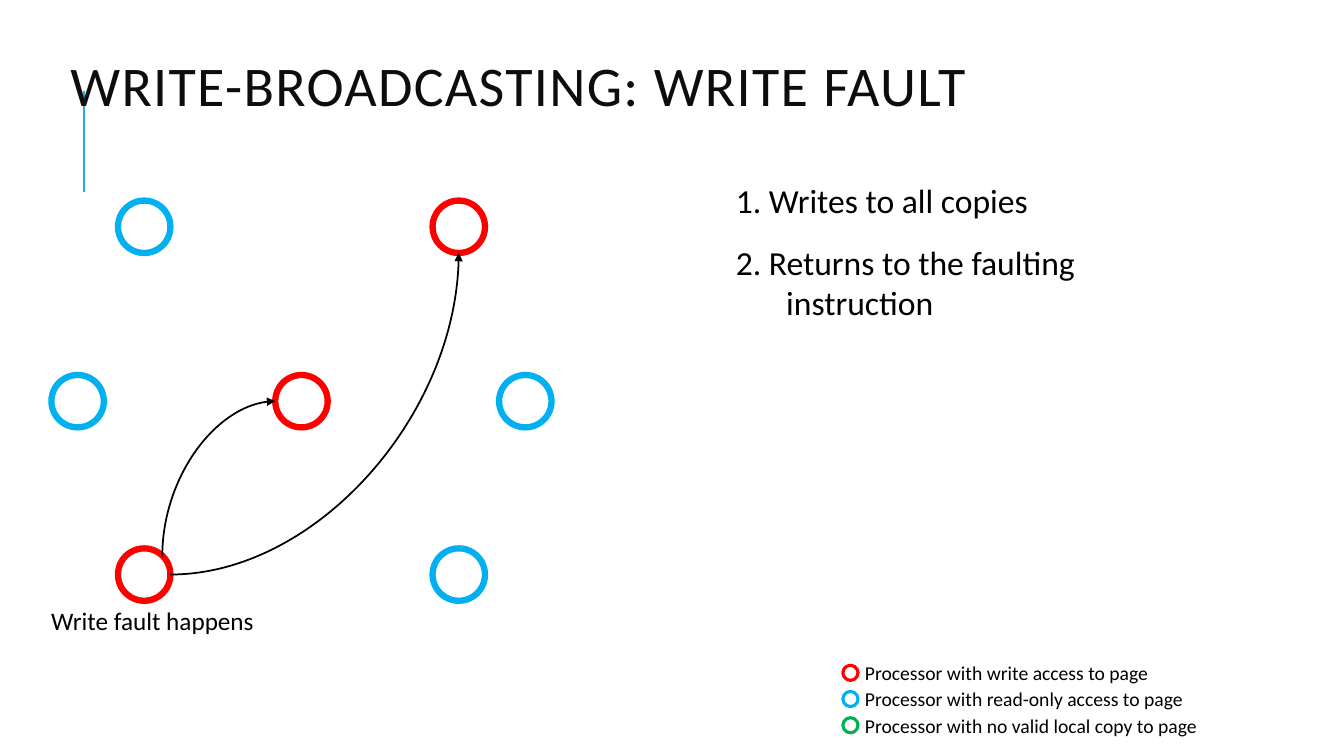
"""Builds the write-broadcasting slide: processors, write arrows, steps and legend."""
from lxml import etree
from pptx import Presentation
from pptx.dml.color import RGBColor
from pptx.enum.shapes import MSO_CONNECTOR, MSO_SHAPE
from pptx.enum.text import MSO_ANCHOR
from pptx.oxml.ns import qn
from pptx.util import Emu, Pt

OVAL = MSO_SHAPE.OVAL
STRAIGHT, CURVE = MSO_CONNECTOR.STRAIGHT, MSO_CONNECTOR.CURVE
MIDDLE, TOP = MSO_ANCHOR.MIDDLE, MSO_ANCHOR.TOP
PX = 9144
COLORS = {
    "accent": "1CADE4", "title": "0D0D0D", "text": "000000",
    "write": "FF0000", "read": "00B0F0", "invalid": "00B050",
}


def px(n):
    return Emu(n * PX)


def color(name):
    return RGBColor.from_string(COLORS[name])


def add_run(p, text, size=18, fill="text", font="Calibri", spacing=None):
    r = p.add_run()
    r.text = text
    r.font.size, r.font.name = Pt(size), font
    r.font.color.rgb = color(fill)
    if spacing:
        r.font._element.set("spc", str(spacing))
    return r


class Deck:
    def __init__(self):
        self.prs = Presentation()
        self.prs.slide_width, self.prs.slide_height = px(1333), px(750)
        self.s = self.prs.slides.add_slide(self.prs.slide_layouts[6])

    def text(self, x, y, w, h, lines, anchor=TOP, line_spacing=None, hanging=0, **fmt):
        tf = self.s.shapes.add_textbox(px(x), px(y), px(w), px(h)).text_frame
        tf.word_wrap, tf.vertical_anchor = True, anchor
        for i, line in enumerate(lines):
            p = tf.paragraphs[0] if i == 0 else tf.add_paragraph()
            if line_spacing:
                p.line_spacing = line_spacing
            if i and hanging:
                p._p.get_or_add_pPr().set("marL", str(px(hanging)))
            add_run(p, line, **fmt)

    def ring(self, x, y, size, access, width):
        sp = self.s.shapes.add_shape(OVAL, px(x), px(y), px(size), px(size))
        sp.shadow.inherit = False
        sp.fill.background()
        sp.line.color.rgb, sp.line.width = color(access), Pt(width)

    def line(self, start, end, fill="text", width=1.25, curved=False, arrow=None):
        kind = CURVE if curved else STRAIGHT
        sp = self.s.shapes.add_connector(kind, *map(px, start + end))
        sp.line.color.rgb, sp.line.width = color(fill), Pt(width)
        sp_pr = sp._element.spPr
        if curved:
            sp_pr.find(qn("a:prstGeom")).set("prst", "curvedConnector2")
        if arrow:
            etree.SubElement(sp.line._get_or_add_ln(), qn(f"a:{arrow}")).set("type", "triangle")
        etree.SubElement(sp_pr, qn("a:effectLst"))


def main():
    deck = Deck()
    deck.line((83, 190), (83, 90), fill="accent", width=1.5)
    deck.text(60, 50, 962, 79, ["WRITE-BROADCASTING: WRITE FAULT"], anchor=MIDDLE,
              line_spacing=0.8, size=40, fill="title", spacing=100)

    processors = [
        (117, 199, "read"), (429, 199, "write"),
        (51, 372, "read"), (273, 372, "write"), (495, 372, "read"),
        (117, 544, "write"), (429, 544, "read"),
    ]
    for x, y, access in processors:
        deck.ring(x, y, 52, access, 4.5)
    deck.text(41, 596, 255, 40, ["Write fault happens"])

    legend = [
        ("write", "Processor with write access to page"),
        ("read", "Processor with read-only access to page"),
        ("invalid", "Processor with no valid local copy to page"),
    ]
    for i, (access, label) in enumerate(legend):
        y = 651 + 26 * i
        deck.ring(836, y + 9, 15, access, 2.25)
        deck.text(848, y, 385, 34, [label], size=14)

    deck.text(720, 174, 340, 50, ["1. Writes to all copies"], size=24)
    deck.line((273, 398), (161, 552), curved=True, arrow="headEnd")
    deck.line((169, 570), (455, 251), curved=True, arrow="tailEnd")
    deck.text(720, 235, 396, 91, ["2. Returns to the faulting", "instruction"],
              size=24, hanging=50)
    deck.prs.save("out.pptx")


if __name__ == "__main__":
    main()
